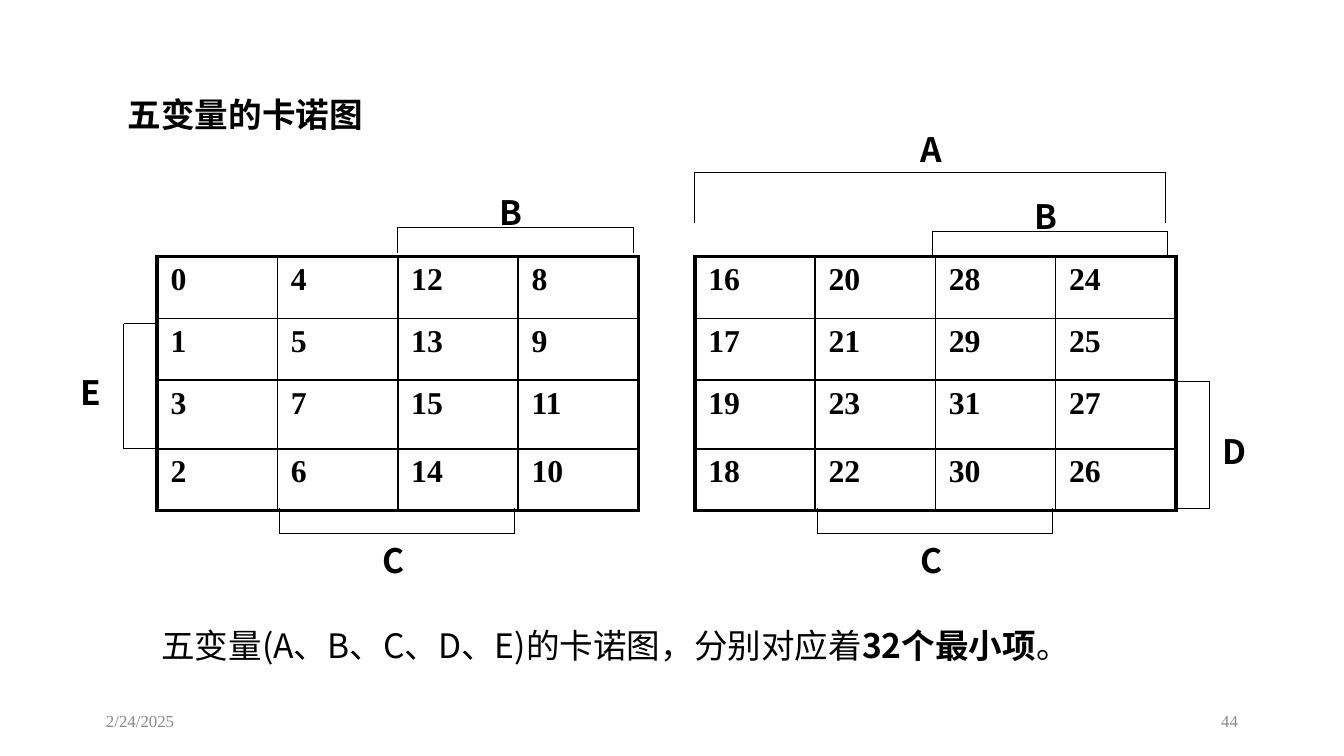
from itertools import pairwise

from lxml.etree import SubElement
from pptx import Presentation
from pptx.dml.color import RGBColor
from pptx.enum.shapes import MSO_CONNECTOR
from pptx.enum.text import MSO_ANCHOR as Anchor, MSO_AUTO_SIZE as AutoSize, PP_ALIGN as Align
from pptx.oxml.ns import qn
from pptx.util import Inches, Pt

COLORS = {"ink": "000000", "paper": "FFFFFF", "footer": "898989"}
SANS, SERIF = "Noto Sans CJK SC", "Times New Roman"

GRAY_COLUMNS = (0, 4, 12, 8)
GRAY_ROWS = (0, 1, 3, 2)
MAP_TOP, MAP_WIDTH = 1.91, 3.58
ROW_HEIGHTS = (0.46, 0.46, 0.51, 0.46)
MAPS = ((1.17, 0), (5.17, 16))  # left edge, first minterm

BRACKETS = (
    ((2.96, 1.88), (2.96, 1.69), (4.71, 1.69), (4.71, 1.88)),  # left B
    ((2.08, 3.78), (2.08, 3.97), (3.83, 3.97), (3.83, 3.78)),  # left C
    ((1.17, 2.41), (0.92, 2.41), (0.92, 3.34), (1.17, 3.34)),  # E
    ((5.17, 1.66), (5.17, 1.28), (8.67, 1.28), (8.67, 1.66)),  # A
    ((6.94, 1.91), (6.94, 1.72), (8.69, 1.72), (8.69, 1.91)),  # right B
    ((6.08, 3.78), (6.08, 3.97), (7.83, 3.97), (7.83, 3.78)),  # right C
    ((8.75, 2.84), (9, 2.84), (9, 3.78), (8.75, 3.78)),  # D
)
LABELS = (
    ("B", 3.62, 1.38, 0.58), ("C", 2.75, 3.97, 0.58), ("E", 0.5, 2.72, 0.58),
    ("A", 6.75, 0.91, 0.83), ("B", 7.6, 1.41, 0.58), ("C", 6.75, 3.97, 0.58),
    ("D", 9, 3.16, 0.58),
)


def color(name):
    return RGBColor.from_string(COLORS[name])


def write(frame, *spans, size=18, font=SANS, ink="ink", bold=False,
          align=Align.LEFT, anchor=Anchor.TOP, line_spacing=None):
    """Fill the first paragraph; a span is a text or a (text, bold) pair."""
    frame.word_wrap = True
    frame.vertical_anchor = anchor
    para = frame.paragraphs[0]
    para.alignment = align
    para.line_spacing = line_spacing
    for span in spans:
        text, span_bold = (span, bold) if isinstance(span, str) else span
        run = para.add_run()
        run.text = text
        run.font.size = Pt(size)
        run.font.bold = span_bold
        run.font.name = font
        run.font.color.rgb = color(ink)
        SubElement(run.font._element, qn("a:ea"), typeface=font)
    return para


def place(shape, left, top, width, height):
    shape.left, shape.top = Inches(left), Inches(top)
    shape.width, shape.height = Inches(width), Inches(height)
    shape.text_frame.auto_size = AutoSize.NONE
    return shape.text_frame


def add_text(page, text, left, top, width, height, **style):
    box = page.shapes.add_textbox(0, 0, 0, 0)
    write(place(box, left, top, width, height), text, **style)


def add_bracket(page, points):
    for start, end in pairwise(points):
        line = page.shapes.add_connector(
            MSO_CONNECTOR.STRAIGHT, *(Inches(value) for value in (*start, *end)))
        line.line.color.rgb = color("ink")
        line.line.width = Pt(0.5)
        SubElement(line._element.spPr, qn("a:effectLst"))


def set_borders(cell, row, column):
    """Draw a thick border where the cell touches the edge of the map."""
    outer = {"L": column == 0, "R": column == 3, "T": row == 0, "B": row == 3}
    properties = cell._tc.get_or_add_tcPr()
    for side, is_outer in outer.items():
        border = SubElement(properties, qn(f"a:ln{side}"), w=str(Pt(2.25 if is_outer else 1)))
        fill = SubElement(border, qn("a:solidFill"))
        SubElement(fill, qn("a:srgbClr"), val=COLORS["ink"])


def add_karnaugh_map(page, left, first):
    table = page.shapes.add_table(
        4, 4, Inches(left), Inches(MAP_TOP), Inches(MAP_WIDTH), Inches(sum(ROW_HEIGHTS))).table
    table.first_row = table.horz_banding = False
    for column in table.columns:
        column.width = Inches(MAP_WIDTH / 4)
    for r, (height, row_code) in enumerate(zip(ROW_HEIGHTS, GRAY_ROWS)):
        table.rows[r].height = Inches(height)
        for c, column_code in enumerate(GRAY_COLUMNS):
            cell = table.cell(r, c)
            set_borders(cell, r, c)
            cell.fill.solid()
            cell.fill.fore_color.rgb = color("paper")
            cell.margin_left = cell.margin_right = Inches(0.1)
            cell.margin_top = cell.margin_bottom = Inches(0.04)
            write(cell.text_frame, str(first + column_code + row_code),
                  size=17, font=SERIF, bold=True)


def add_title_and_body(page):
    title, body = page.placeholders
    write(place(title, 0.85, 0.68, 8.25, 0.56), "五变量的卡诺图", bold=True, line_spacing=0.9)
    frame = place(body, 1.1, 4.59, 9.25, 0.56)
    frame.margin_top = Inches(0.09)
    para = write(frame, "五变量(A、B、C、D、E)的卡诺图，分别对应着", ("32个最小项", True), "。",
                 line_spacing=0.9)
    para.space_before = Pt(0)
    properties = para._p.get_or_add_pPr()
    properties.set("marL", str(Inches(0.19)))
    properties.set("indent", str(Inches(-0.19)))
    SubElement(properties, qn("a:buNone"))


def main():
    deck = Presentation()
    deck.slide_width, deck.slide_height = Inches(10), Inches(10 * 9 / 16)
    page = deck.slides.add_slide(deck.slide_layouts[1])
    add_title_and_body(page)
    for left, first in MAPS:
        add_karnaugh_map(page, left, first)
    for points in BRACKETS:
        add_bracket(page, points)
    for name, left, top, width in LABELS:
        add_text(page, name, left, top, width, 0.4, bold=True)
    footer = {"size": 9, "font": SERIF, "ink": "footer", "anchor": Anchor.MIDDLE}
    add_text(page, "2/24/2025", 0.69, 5.21, 2.25, 0.3, **footer)
    add_text(page, "44", 7.06, 5.21, 2.25, 0.3, align=Align.RIGHT, **footer)
    deck.save("out.pptx")


if __name__ == "__main__":
    main()
